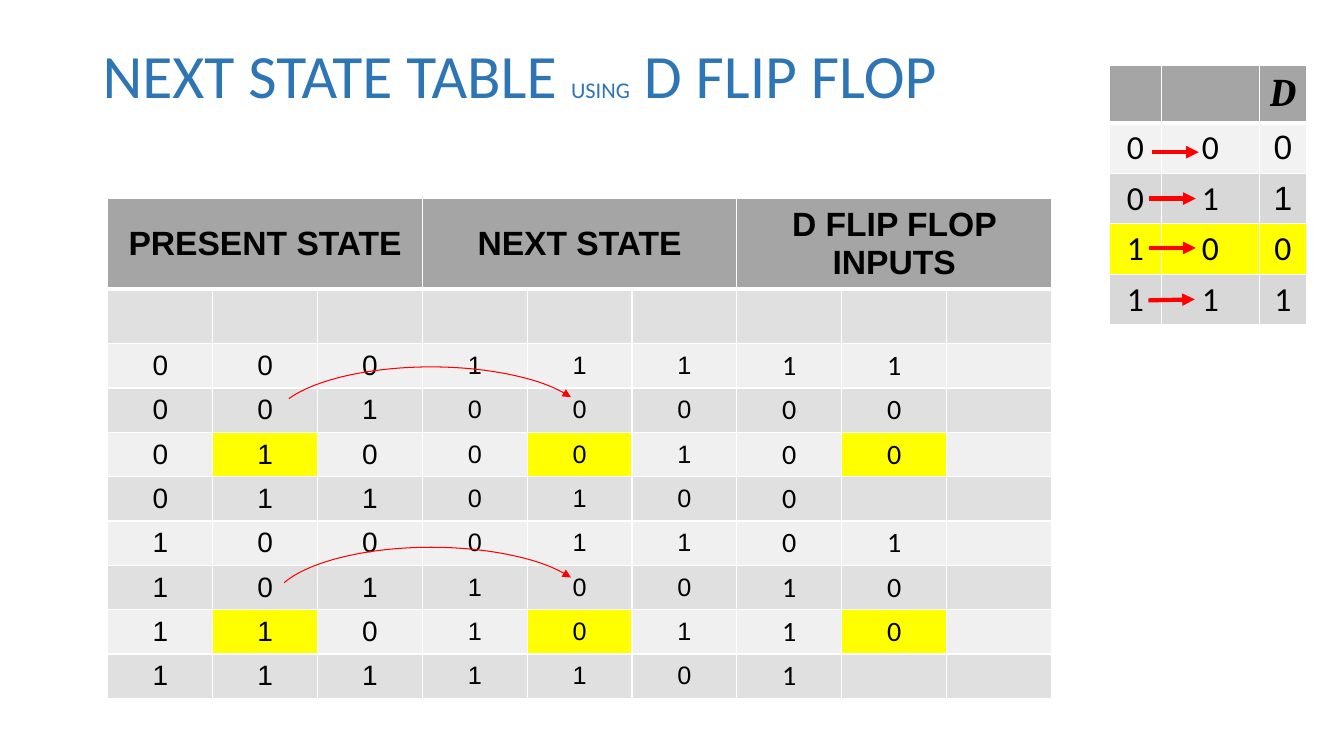
from dataclasses import dataclass
from pptx import Presentation, util as u
from pptx.dml.color import RGBColor
from pptx.enum import shapes, text
from pptx.oxml import parse_xml
from pptx.oxml.ns import nsdecls, qn


@dataclass(frozen=True)
class Theme:
    title: str = "2E75B5"
    ink: str = "000000"
    grid: str = "FFFFFF"
    head: str = "A5A5A5"
    mark: str = "FFFF00"
    arrow: str = "FF0000"
    state_bands: tuple = ("E0E0E0", "F0F0F0")
    flip_bands: tuple = ("D8D8D8", "F2F2F2")
    sans: str = "Arial"
    body: str = "Calibri"
    serif: str = "Cambria"
    title_size: int = 44
    small_size: int = 16
    symbol_size: int = 28
    head_size: int = 24
    bit_size: int = 20
    next_size: int = 18


class SlideBuilder:
    def __init__(self, prs, theme):
        self.t = theme
        self.s = prs.slides.add_slide(prs.slide_layouts[6])

    def run(self, p, txt, color, **fmt):
        r = p.add_run()
        r.text = txt
        r.font.color.rgb = RGBColor.from_string(color)
        for name, value in fmt.items():
            setattr(r.font, name, u.Pt(value) if name == "size" else value)

    def title(self, x, y, w, h, parts):
        tf = self.s.shapes.add_textbox(*map(u.Inches, (x, y, w, h))).text_frame
        tf.word_wrap = True
        p = tf.paragraphs[0]
        p.line_spacing = 0.9
        for txt, size in parts:
            self.run(p, txt, self.t.title, size=size, name=self.t.body)

    def table(self, x, y, cols, rows):
        size = (x, y, sum(cols), sum(rows))
        tbl = self.s.shapes.add_table(len(rows), len(cols), *map(u.Inches, size)).table
        tbl.first_row = tbl.horz_banding = False
        for items, attr, sizes in ((tbl.columns, "width", cols), (tbl.rows, "height", rows)):
            for item, length in zip(items, sizes):
                setattr(item, attr, u.Inches(length))
        return tbl

    def cell(self, cell, fill, bottom=1):
        tcPr = cell._tc.get_or_add_tcPr()
        for side, width in zip("LRTB", (1, 1, 1, bottom)):
            tcPr.append(parse_xml(
                f'<a:ln{side} {nsdecls("a")} w="{u.Pt(width)}"><a:solidFill>'
                f'<a:srgbClr val="{self.t.grid}"/></a:solidFill></a:ln{side}>'))
        cell.fill.solid()
        cell.fill.fore_color.rgb = RGBColor.from_string(fill)
        cell.vertical_anchor = text.MSO_ANCHOR.MIDDLE

    def cell_text(self, cell, txt, **fmt):
        p = cell.text_frame.paragraphs[0]
        p.alignment = text.PP_ALIGN.CENTER
        self.run(p, txt, self.t.ink, **fmt)

    def red_line(self, sp, width):
        sp.line.color.rgb = RGBColor.from_string(self.t.arrow)
        sp.line.width = u.Pt(width)
        sp.line._get_or_add_ln().append(
            parse_xml(f'<a:tailEnd {nsdecls("a")} type="triangle"/>'))

    def arrow(self, x1, y1, x2, y2):
        sp = self.s.shapes.add_connector(
            shapes.MSO_CONNECTOR.STRAIGHT, *map(u.Inches, (x1, y1, x2, y2)))
        self.red_line(sp, 3)
        spPr = sp._element.spPr
        spPr.append(spPr.makeelement(qn("a:effectLst"), {}))

    def arc(self, x, y, w, h, start, end):
        sp = self.s.shapes.add_shape(
            shapes.MSO_SHAPE.ARC, *map(u.Inches, (x, y, w, h)))
        # Arc angles are stored in 60000ths of a degree
        sp.adjustments[0], sp.adjustments[1] = start * 0.6, end * 0.6
        sp.fill.background()
        sp.shadow.inherit = False
        self.red_line(sp, 0.75)


# One string per row: present state, next state, D inputs
STATES = ["", "00011111", "00100000", "01000100", "0110100",
          "10001101", "10110010", "11010110", "1111101"]
FLIP_FLOP = ["000", "011", "100", "111"]


def main():
    t = Theme()
    prs = Presentation()
    prs.slide_width, prs.slide_height = u.Inches(13.33), u.Inches(7.5)
    b = SlideBuilder(prs, t)

    # Title
    b.title(0.92, 0.4, 11.5, 1.45, [("NEXT STATE TABLE ", t.title_size),
                                    ("USING", t.small_size),
                                    (" D FLIP FLOP", t.title_size)])

    # Flip-flop excitation table
    tbl = b.table(11, 0.65, [0.52, 0.97, 0.47], [0.57] + [0.5] * 4)
    for c in range(3):
        b.cell(tbl.cell(0, c), t.head, bottom=3)
    b.cell_text(tbl.cell(0, 2), "D", size=t.symbol_size, name=t.serif,
                bold=True, italic=True)
    for i, bits in enumerate(FLIP_FLOP, 1):
        fill = t.mark if i == 3 else t.flip_bands[i % 2]
        for c, bit in enumerate(bits):
            b.cell(tbl.cell(i, c), fill)
            b.cell_text(tbl.cell(i, c), bit, size=t.head_size,
                        name=t.sans if c == 2 and i < 3 else t.body)

    # Transition arrows
    for x, y1, y2 in [(11.43, 1.51, 1.51), (11.4, 1.97, 1.97),
                      (11.4, 2.46, 2.46), (11.39, 2.98, 2.97)]:
        b.arrow(x, y1, x + 0.46, y2)

    # Next state table: group headings
    tbl = b.table(1.07, 1.97, [1.04] * 9, [0.84, 0.54] + [0.44] * 8)
    for c in range(9):
        b.cell(tbl.cell(0, c), t.head, bottom=3)
    for g, heading in enumerate(["PRESENT STATE", "NEXT STATE", "D FLIP FLOP INPUTS"]):
        cell = tbl.cell(0, 3 * g)
        cell.merge(tbl.cell(0, 3 * g + 2))
        b.cell_text(cell, heading, size=t.head_size, name=t.sans, bold=True)

    # Next state table: bits, with the 1-to-0 transitions marked
    groups = [(t.bit_size, t.sans), (t.next_size, t.sans), (t.bit_size, t.body)]
    for i, bits in enumerate(STATES, 1):
        for c in range(9):
            marked = i in (4, 8) and c % 3 == 1
            b.cell(tbl.cell(i, c), t.mark if marked else t.state_bands[(i + 1) % 2])
            if c < len(bits):
                size, name = groups[c // 3]
                b.cell_text(tbl.cell(i, c), bits[c], size=size, name=name)

    # Arcs from present to next state
    for y, start in [(3.64, 190.64), (5.43, 188.91)]:
        b.arc(2.69, y, 3.17, 1.16, start, 348.58)

    prs.save("out.pptx")


if __name__ == "__main__":
    main()
